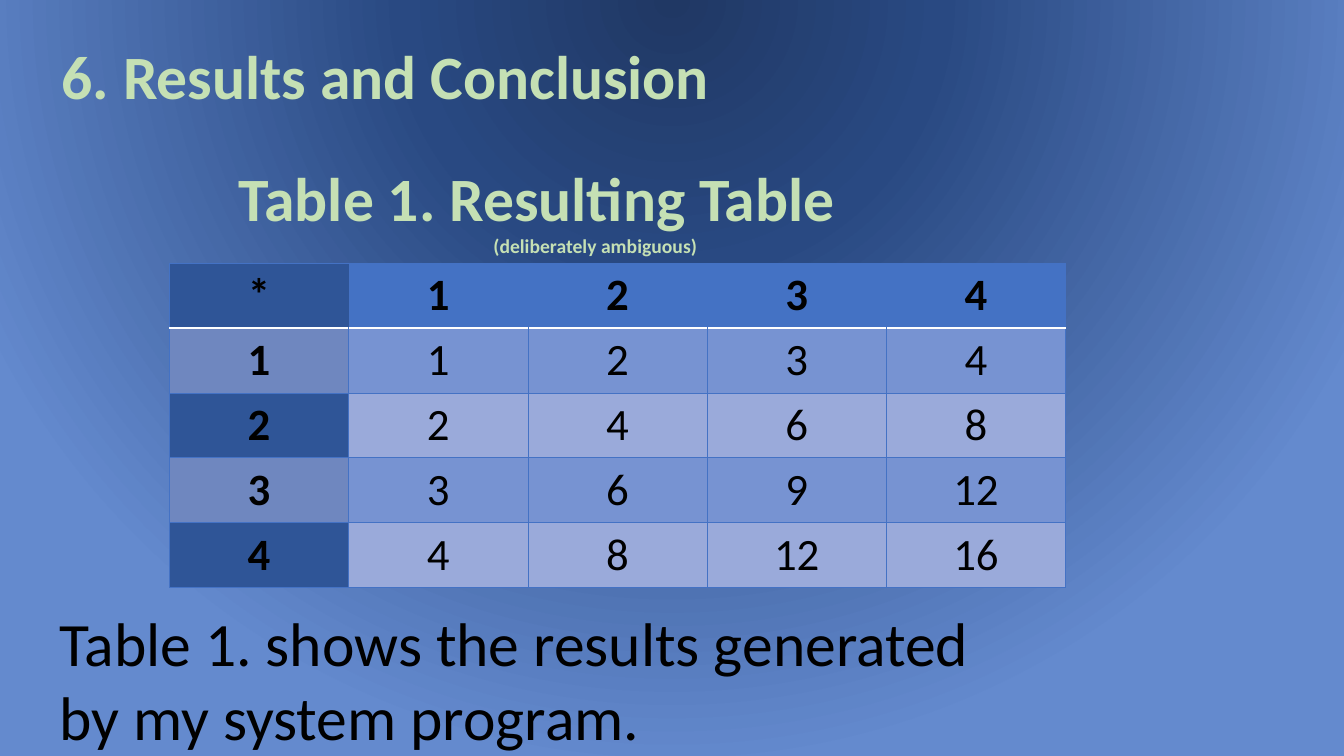
from dataclasses import dataclass
from lxml.etree import SubElement
from pptx import Presentation
from pptx.dml.color import RGBColor
from pptx.enum.text import MSO_ANCHOR, MSO_AUTO_SIZE, PP_ALIGN
from pptx.oxml.ns import qn
from pptx.util import Inches, Pt


@dataclass(frozen=True)
class Theme:
    """Font, type sizes and colours of the slide."""
    font: str = "Calibri"
    heading_size: int = 44
    table_size: int = 32
    note_size: int = 14
    heading: str = "C5E0B4"
    text: str = "000000"
    accent: str = "4472C4"
    accent_dark: str = "2F5597"
    band_side: str = "6F87BF"
    band: str = "7793D2"
    plain: str = "9AAADA"
    rule: str = "FFFFFF"
    background: tuple = ((0, "203864", 100), (35, "294982", 100), (100, "648ACE", 96))


THEME = Theme()
SLIDE_WIDTH, SLIDE_HEIGHT = Inches(13.33), Inches(7.5)
FACTORS = range(1, 5)


def box(left, top, width, height):
    """Turn percentages of the slide into lengths."""
    return (int(SLIDE_WIDTH * left / 100), int(SLIDE_HEIGHT * top / 100),
            int(SLIDE_WIDTH * width / 100), int(SLIDE_HEIGHT * height / 100))


def write(paragraph, text, size=THEME.heading_size, color=THEME.text, bold=False,
          align=PP_ALIGN.LEFT):
    """Write one formatted run into a paragraph."""
    paragraph.alignment = align
    run = paragraph.add_run()
    run.text = text
    run.font.name, run.font.size, run.font.bold = THEME.font, Pt(size), bold
    run.font.color.rgb = RGBColor.from_string(color)


def prepare_frame(shape):
    """Make a shape's text wrap from its top edge."""
    frame = shape.text_frame
    frame.word_wrap = True
    frame.auto_size = MSO_AUTO_SIZE.NONE
    frame.vertical_anchor = MSO_ANCHOR.TOP
    return frame


def paint_background(slide):
    """Fill the slide with a circular gradient centred on the top edge."""
    slide.background.fill.gradient()
    gradient = slide.background._cSld.bg.bgPr.find(qn("a:gradFill"))
    for child in list(gradient):
        gradient.remove(child)
    stops = SubElement(gradient, qn("a:gsLst"))
    for position, color, opacity in THEME.background:
        stop = SubElement(stops, qn("a:gs"), pos=str(position * 1000))
        fill = SubElement(stop, qn("a:srgbClr"), val=color)
        if opacity < 100:
            SubElement(fill, qn("a:alpha"), val=str(opacity * 1000))
    path = SubElement(gradient, qn("a:path"), path="circle")
    SubElement(path, qn("a:fillToRect"), l="50000", t="-80000", r="50000", b="180000")


def place_title(slide, area, text):
    """Move the title placeholder into its area and fill it."""
    title = slide.shapes.title
    title.left, title.top, title.width, title.height = area
    write(prepare_frame(title).paragraphs[0], text, color=THEME.heading, bold=True)


def add_caption(slide, area, text, note):
    """Add the table's caption with a small centred note below."""
    frame = prepare_frame(slide.shapes.add_textbox(*area))
    write(frame.paragraphs[0], text, color=THEME.heading, bold=True)
    write(frame.add_paragraph(), note, size=THEME.note_size, color=THEME.heading,
          bold=True, align=PP_ALIGN.CENTER)


def add_conclusion(slide, area, text):
    """Add the closing statement."""
    write(prepare_frame(slide.shapes.add_textbox(*area)).paragraphs[0], text)


def draw_border(cell, side, color, width):
    """Draw one cell border, or clear it when there is no colour."""
    line = SubElement(cell._tc.get_or_add_tcPr(), qn(f"a:ln{side}"), w=str(Pt(width)))
    if color:
        SubElement(SubElement(line, qn("a:solidFill")), qn("a:srgbClr"), val=color)
    else:
        SubElement(line, qn("a:noFill"))


def draw_borders(cell, row, column, last):
    """Draw a cell's borders, leaving the header open inside."""
    thin, rule, clear = (THEME.accent, 0.5), (THEME.rule, 1), (None, 0.5)
    header = row == 0
    draw_border(cell, "L", *(clear if header and column > 0 else thin))
    draw_border(cell, "R", *(clear if header and column < last else thin))
    draw_border(cell, "T", *(rule if row == 1 else thin))
    draw_border(cell, "B", *(rule if header else thin))


def cell_color(row, column):
    """Choose the fill for the header, side column and bands."""
    if row % 2:
        return THEME.band if column else THEME.band_side
    if column == 0:
        return THEME.accent_dark
    return THEME.plain if row else THEME.accent


def add_product_table(slide, area):
    """Add the multiplication table, evenly divided over its area."""
    values = [["*", *FACTORS]] + [[row, *(row * column for column in FACTORS)]
                                  for row in FACTORS]
    count = len(values)
    table = slide.shapes.add_table(count, count, *area).table
    table.first_col = True
    for index in range(count):
        table.columns[index].width = area[2] // count
        table.rows[index].height = area[3] // count
    for row, entries in enumerate(values):
        for column, value in enumerate(entries):
            cell = table.cell(row, column)
            draw_borders(cell, row, column, count - 1)
            cell.fill.solid()
            cell.fill.fore_color.rgb = RGBColor.from_string(cell_color(row, column))
            write(cell.text_frame.paragraphs[0], str(value), size=THEME.table_size,
                  bold=row == 0 or column == 0, align=PP_ALIGN.CENTER)


def build_results_slide(presentation):
    """Build the results slide on the title-only layout."""
    slide = presentation.slides.add_slide(presentation.slide_layouts[5])
    paint_background(slide)
    place_title(slide, box(3.83, 4.4, 52.89, 11.2), "6. Results and Conclusion")
    add_product_table(slide, box(12.6, 34.8, 66.7, 42.27))
    add_caption(slide, box(17.03, 20.53, 54.54, 14.4),
                "Table 1. Resulting Table", "(deliberately ambiguous)")
    add_conclusion(slide, box(3.68, 79.33, 69.39, 21.07),
                   "Table 1. shows the results generated by my system program.")


def main():
    """Create and save the presentation."""
    presentation = Presentation()
    presentation.slide_width, presentation.slide_height = SLIDE_WIDTH, SLIDE_HEIGHT
    build_results_slide(presentation)
    presentation.save("out.pptx")


if __name__ == "__main__":
    main()
